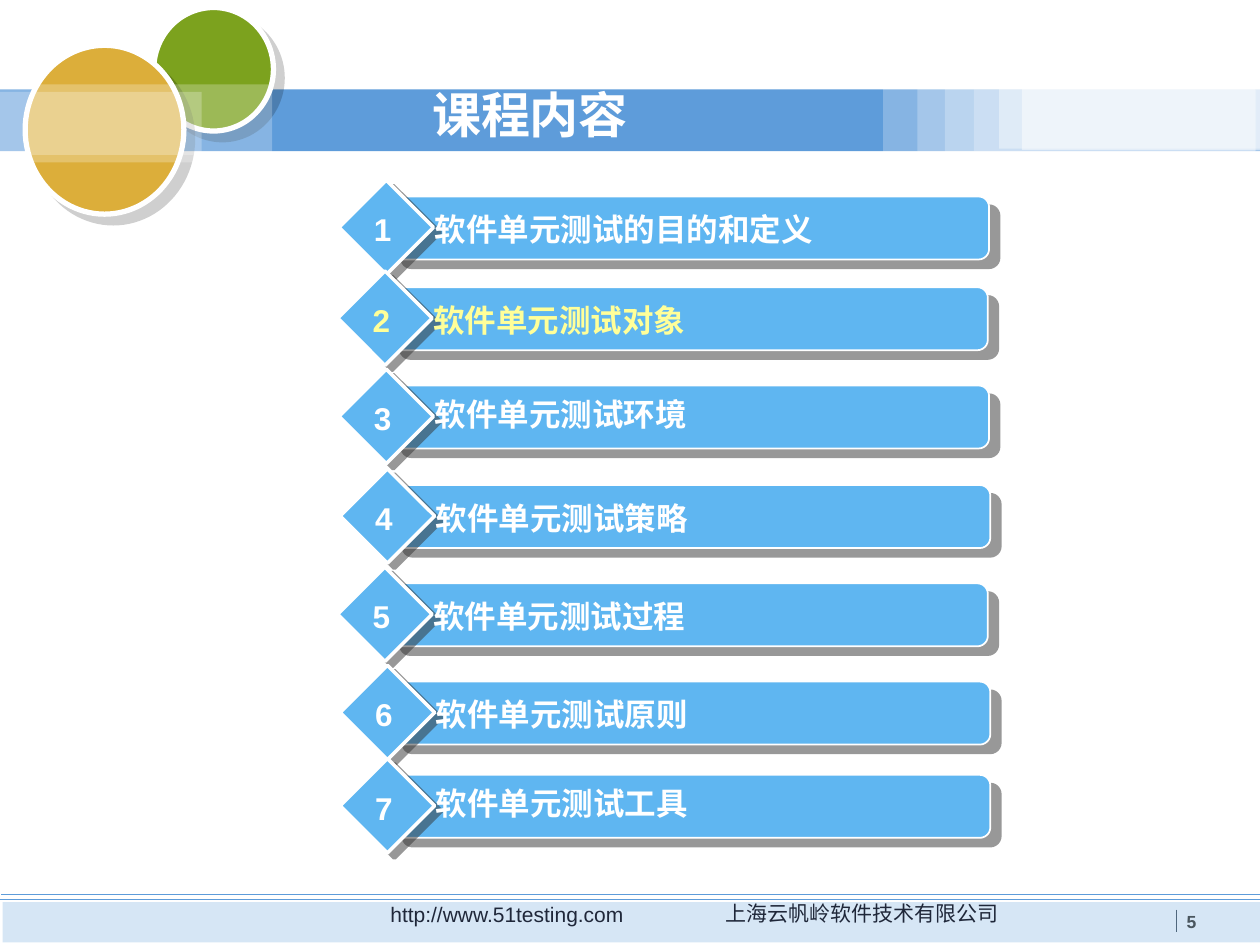
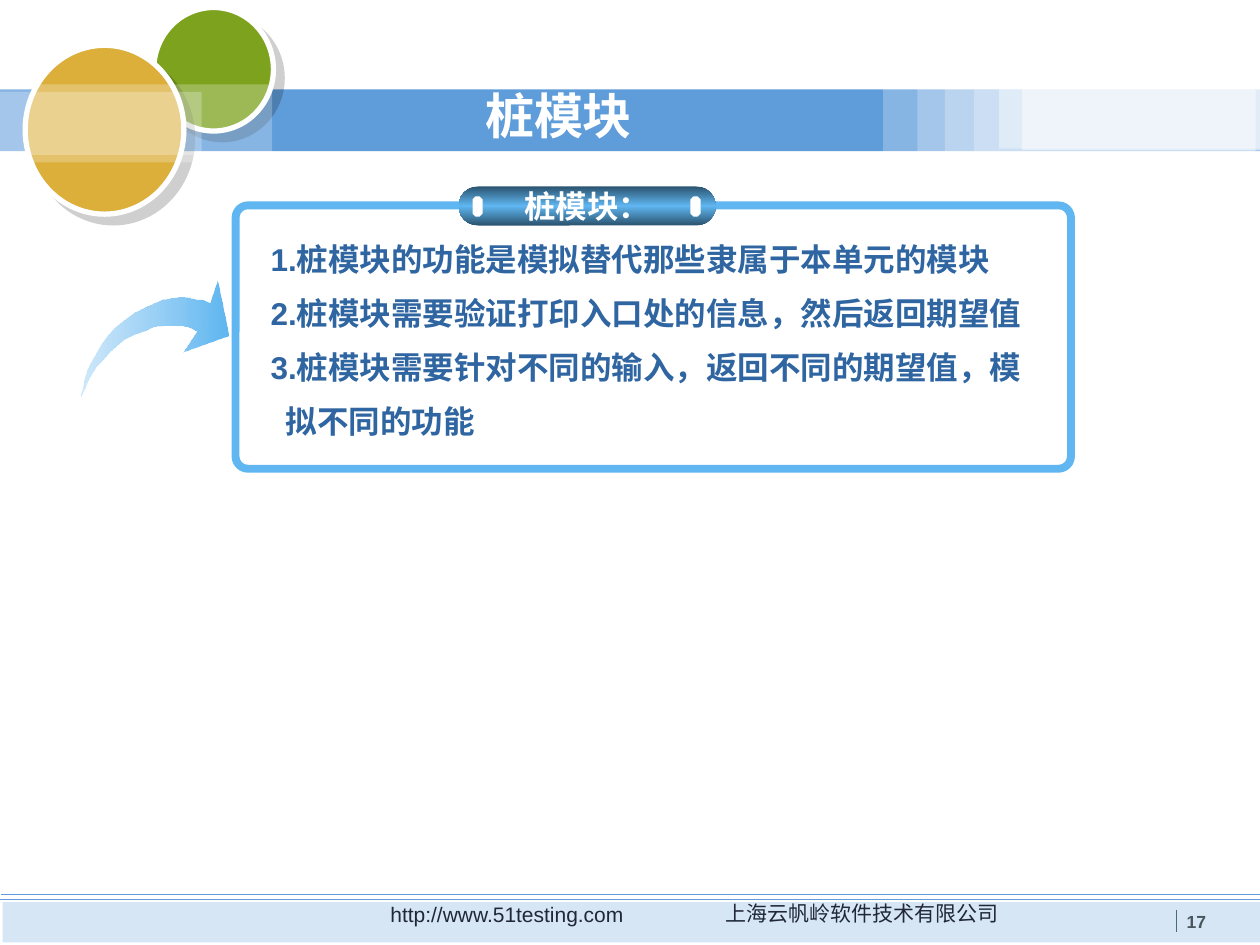
"""Builds two slides of a unit testing course: the agenda and the stub module page."""
from lxml.etree import SubElement
from pptx import Presentation
from pptx.dml.color import RGBColor
from pptx.enum.shapes import MSO_CONNECTOR, MSO_SHAPE as Preset
from pptx.enum.text import MSO_ANCHOR as Anchor, PP_ALIGN as Align
from pptx.oxml.ns import qn
from pptx.util import Pt

PX = 9144
FONT = "Arial"
COLORS = {
    "white": "FFFFFF", "band": "5E9CDA", "green": "7CA21E", "gold": "DCAE3A",
    "sky": "5FB6F1", "pale sky": "6DBBF1", "steel": "2B536F", "navy": "2F65A1",
    "slate": "4A565E", "ink": "0B0104", "yellow": "FFFF99",
    "black": "000000", "charcoal": "333333",
}
CIRCLE_SHADOW = ("black", 19, 7.1, 45)
BAR_SHADOW = ("charcoal", 50, 7.8, 40)
DIAMOND_SHADOW = ("charcoal", 50, 5, 37)
BAND_FADES = [
    (701, 68, 295, 56, 25), (728, 70, 272, 57, 25), (750, 69, 250, 57, 25),
    (773, 71, 224, 49, 25), (793, 69, 207, 49, 40), (811, 70, 189, 49, 48),
]
AGENDA = [
    ("软件单元测试的目的和定义", 310, 156, 1),
    ("软件单元测试对象", 309, 228, 1),
    ("软件单元测试环境", 310, 306, 0.9),
    ("软件单元测试策略", 311, 385, 1),
    ("软件单元测试过程", 309, 463, 1),
    ("软件单元测试原则", 311, 541, 1),
    ("软件单元测试工具", 311, 615, 0.9),
]
CURRENT_TOPIC = 2
STUB_POINTS = [
    "1.桩模块的功能是模拟替代那些隶属于本单元的模块",
    "2.桩模块需要验证打印入口处的信息，然后返回期望值",
    "3.桩模块需要针对不同的输入，返回不同的期望值，模",
    "拟不同的功能",
]
ARROW_OUTLINE = [
    (65, 315), (66, 312), (67, 310), (69, 306), (71, 301), (74, 296), (77, 291),
    (82, 286), (87, 280), (93, 275), (99, 270), (107, 266), (115, 263), (122, 260),
    (129, 259), (135, 259), (140, 259), (145, 259), (149, 260), (152, 261),
    (156, 263), (145, 280), (181, 267), (172, 223), (166, 241), (162, 239),
    (159, 238), (155, 238), (151, 237), (146, 236), (141, 236), (135, 237),
    (129, 238), (122, 241), (115, 244), (107, 248), (99, 254), (92, 260),
    (86, 266), (81, 273), (77, 280), (73, 287), (70, 293), (68, 299), (67, 304),
    (66, 309), (65, 312),
]


def rgb(name):
    return RGBColor.from_string(COLORS[name])


def add_color(parent, name, alpha):
    color = SubElement(parent, qn("a:srgbClr"), val=COLORS[name])
    SubElement(color, qn("a:alpha"), val=str(alpha * 1000))


class Painter:
    def __init__(self):
        self.deck = Presentation()
        self.deck.slide_width, self.deck.slide_height = 1000 * PX, 750 * PX
        self.page = self.shapes = None

    def start_page(self, title, left, top, width, number):
        self.page = self.deck.slides.add_slide(self.deck.slide_layouts[5])
        self.shapes = self.page.shapes
        self.frame(number)
        box = self.shapes.title
        self.shapes._spTree.append(box._element)
        box.left, box.top, box.width, box.height = (
            value * PX for value in (left, top, width, 104))
        self.set_text(box, [title], 28, "white", bold=True, spacing=0.9, anchor=Anchor.MIDDLE)

    def frame(self, number):
        self.shape(Preset.RECTANGLE, 0, 71, 1000, 49, "band")
        self.shape(Preset.OVAL, 122, 6, 95, 98, "green", line=("white", 3), shadow=CIRCLE_SHADOW)
        self.line(934, 722, 934, 740, "slate")
        self.text("上海云帆岭软件技术有限公司", 508, 710, 352, 30, 12, "ink", align=Align.CENTER)
        self.text("http://www.51testing.com", 239, 711, 327, 30, 12, "ink", align=Align.CENTER)
        self.line(0, 714, 1000, 714, "band")
        for left, top, width, height, alpha in BAND_FADES:
            self.shape(Preset.RECTANGLE, left, top, width, height, "white", alpha)
        self.shape(Preset.RECTANGLE, 2, 716, 998, 32, "band", 25)
        self.line(1, 710, 1001, 710, "band")
        self.shape(Preset.OVAL, 20, 36, 126, 134, "gold", line=("white", 3), shadow=CIRCLE_SHADOW)
        for top, width in ((67, 216), (73, 160)):
            self.shape(Preset.RECTANGLE, 0, top, width, 56, "white", 25)
        self.text(str(number), 932, 718, 48, 27, 10, "slate", bold=True)

    def shape(self, preset, left, top, width, height, fill=None, alpha=100,
              line=None, shadow=None, adjust=None):
        shape = self.shapes.add_shape(preset, left * PX, top * PX, width * PX, height * PX)
        self.finish(shape, line, shadow)
        if adjust is not None:
            shape.adjustments[0] = adjust
        if fill is None:
            shape.fill.background()
        else:
            shape.fill.solid()
            shape.fill.fore_color.rgb = rgb(fill)
            if alpha < 100:
                color = shape._element.spPr.find(qn("a:solidFill"))[0]
                SubElement(color, qn("a:alpha"), val=str(alpha * 1000))
        return shape

    def finish(self, shape, line=None, shadow=None):
        shape.shadow.inherit = False
        if line:
            shape.line.color.rgb, shape.line.width = rgb(line[0]), Pt(line[1])
        else:
            shape.line.fill.background()
        if shadow:
            name, alpha, distance, angle = shadow
            effects = shape._element.spPr.find(qn("a:effectLst"))
            outer = SubElement(effects, qn("a:outerShdw"), blurRad="0", dist=str(Pt(distance)),
                               dir=str(angle * 60000), algn="ctr", rotWithShape="0")
            add_color(outer, name, alpha)

    def gradient(self, shape, angle, stops):
        shape.fill.gradient()
        shape.fill.gradient_angle = angle
        stop_list = shape._element.spPr.find(qn("a:gradFill")).find(qn("a:gsLst"))
        for old in list(stop_list):
            stop_list.remove(old)
        for position, name, alpha in stops:
            add_color(SubElement(stop_list, qn("a:gs"), pos=str(position * 1000)), name, alpha)

    def outline(self, points):
        builder = self.shapes.build_freeform(*points[0], scale=PX)
        builder.add_line_segments(points[1:], close=True)
        shape = builder.convert_to_shape()
        self.finish(shape)
        return shape

    def line(self, x1, y1, x2, y2, color):
        line = self.shapes.add_connector(
            MSO_CONNECTOR.STRAIGHT, x1 * PX, y1 * PX, x2 * PX, y2 * PX)
        line.line.color.rgb, line.line.width = rgb(color), Pt(0.75)
        SubElement(line._element.spPr, qn("a:effectLst"))

    def text(self, words, left, top, width, height, size, color, **style):
        box = self.shapes.add_textbox(left * PX, top * PX, width * PX, height * PX)
        self.set_text(box, [words] if isinstance(words, str) else words, size, color, **style)
        return box

    def set_text(self, box, lines, size, color, bold=False, align=Align.LEFT,
                 spacing=1, before=0, after=0, anchor=Anchor.TOP, wrap=True):
        frame = box.text_frame
        frame.text = "\n".join(lines)
        frame.word_wrap, frame.vertical_anchor = wrap, anchor
        for index, para in enumerate(frame.paragraphs):
            para.alignment, para.line_spacing = align, spacing
            para.space_before, para.space_after = Pt(before if index else 0), Pt(after)
            for span in para.runs:
                font = span.font
                font.name, font.size, font.bold = FONT, Pt(size), bold
                font.color.rgb = rgb(color)
                SubElement(font._element, qn("a:ea"), typeface=FONT)

    def agenda_row(self, number, topic, left, top, spacing):
        self.shapes = self.page.shapes.add_group_shape().shapes
        color = "yellow" if number == CURRENT_TOPIC else "white"
        self.shape(Preset.ROUNDED_RECTANGLE, left, top, 475, 50, "sky",
                   line=("white", 1), shadow=BAR_SHADOW)
        self.shape(Preset.DIAMOND, left - 41, top - 13, 75, 75, "sky",
                   line=("white", 2), shadow=DIAMOND_SHADOW)
        self.text(topic, left + 25, top + 6, 375, 40, 18, color, bold=True, spacing=spacing)
        self.text(str(number), left - 23, top + 6, 34, 40, 18, color, bold=True, wrap=False)
        self.shapes = self.page.shapes


def main():
    painter = Painter()

    painter.start_page("课程内容", 333, 41, 223, 5)
    for number, row in enumerate(AGENDA, start=1):
        painter.agenda_row(number, *row)

    painter.start_page("桩模块", 375, 42, 214, 17)
    arrow = painter.outline(ARROW_OUTLINE)
    painter.gradient(arrow, 180, [(0, "sky", 100), (100, "pale sky", 32)])
    painter.shape(Preset.ROUNDED_RECTANGLE, 187, 163, 663, 209, line=("sky", 4.5), adjust=0.047)
    label = painter.shape(Preset.ROUNDED_RECTANGLE, 364, 148, 204, 31, "sky", adjust=0.5)
    painter.gradient(label, 90, [(0, "steel", 100), (50, "sky", 100), (100, "steel", 100)])
    painter.set_text(label, ["桩模块："], 18, "white", bold=True, align=Align.CENTER,
                     anchor=Anchor.MIDDLE, wrap=False)
    for left in (548, 375):
        painter.shape(Preset.OCTAGON, left, 156, 8, 16, "white")
    points = painter.text(STUB_POINTS, 205, 189, 636, 242, 18, "navy", bold=True,
                          spacing=0.9, before=7.9, after=3.4)
    continuation = points.text_frame.paragraphs[-1]
    continuation._p.get_or_add_pPr().set("marL", str(12 * PX))

    painter.deck.save("out.pptx")


if __name__ == "__main__":
    main()
